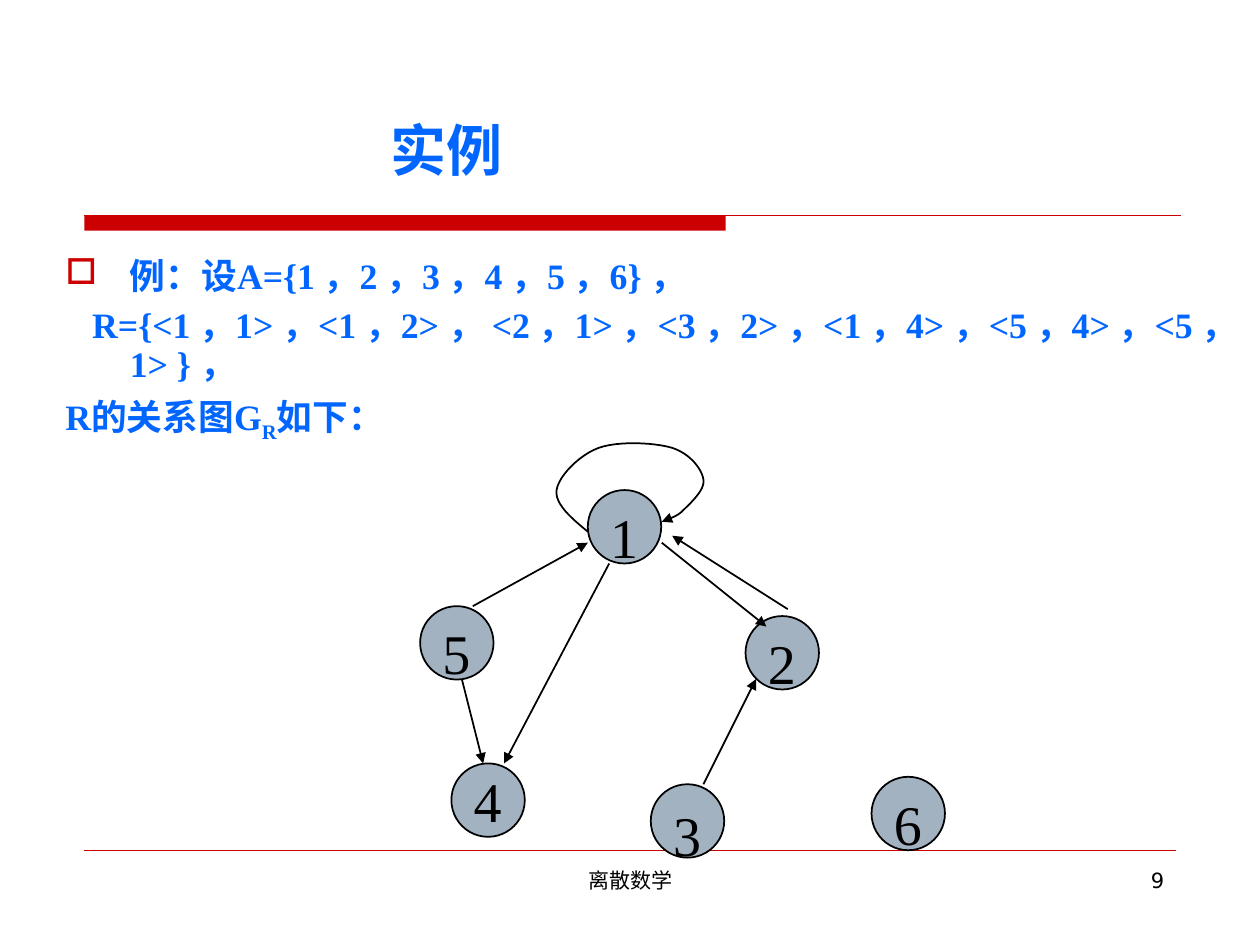
import lxml.etree
import pptx
import pptx.dml.color
import pptx.enum.shapes
import pptx.enum.text
import pptx.oxml.ns
import pptx.util

Cm, Pt = pptx.util.Cm, pptx.util.Pt
qn = pptx.oxml.ns.qn
ALIGN = pptx.enum.text.PP_ALIGN
ANCHOR = pptx.enum.text.MSO_ANCHOR
SHAPES = pptx.enum.shapes.MSO_SHAPE

RED, BLUE, GREY, BLACK = "CC0000", "0066FF", "A3B2C1", "000000"
SANS, SERIF = "DejaVu Sans", "Times New Roman"


def rgb(value):
    return pptx.dml.color.RGBColor.from_string(value)


def write(paragraph, text, font=SANS, size=12, color=BLACK, bold=False, baseline=None):
    """Append one formatted run to the paragraph."""
    run = paragraph.add_run()
    run.text = text
    run.font.name, run.font.size, run.font.bold = font, Pt(size), bold
    run.font.color.rgb = rgb(color)
    if baseline is not None:
        run.font._element.set("baseline", str(baseline * 1000))


def bezier(start, segments, steps=12):
    """Points along a chain of cubic curves; each segment is two controls and an end."""
    points = [start]
    for first, second, end in segments:
        for step in range(1, steps + 1):
            t = step / steps
            u = 1 - t
            points.append(tuple(
                u**3 * a + 3 * u * u * t * b + 3 * u * t * t * c + t**3 * d
                for a, b, c, d in zip(start, first, second, end)))
        start = end
    return points


class RelationSlide:
    edge_width = 1
    node_size = 1.48

    def __init__(self, presentation):
        self.slide = presentation.slides.add_slide(presentation.slide_layouts[6])
        self.shapes = self.slide.shapes

    def text_frame(self, left, top, width, height, anchor=ANCHOR.TOP, wrap=True, inset=0.13):
        box = self.shapes.add_textbox(Cm(left), Cm(top), Cm(width), Cm(height))
        frame = box.text_frame
        frame.word_wrap, frame.vertical_anchor = wrap, anchor
        frame.margin_top = Cm(inset)
        return frame

    def label(self, text, *place, align=ALIGN.LEFT, anchor=ANCHOR.TOP, wrap=True,
              inset=0.13, **style):
        paragraph = self.text_frame(*place, anchor, wrap, inset).paragraphs[0]
        paragraph.alignment = align
        write(paragraph, text, **style)

    def filled(self, kind, left, top, width, height, color, outline=None):
        shape = self.shapes.add_shape(kind, Cm(left), Cm(top), Cm(width), Cm(height))
        shape.shadow.inherit = False
        shape.fill.solid()
        shape.fill.fore_color.rgb = rgb(color)
        if outline:
            self.stroke(shape, outline, self.edge_width)
        else:
            shape.line.fill.background()

    def stroke(self, shape, color, width, arrow=False):
        shape.line.color.rgb = rgb(color)
        shape.line.width = Pt(width)
        if arrow:
            outline = shape._element.spPr.find(qn("a:ln"))
            lxml.etree.SubElement(outline, qn("a:tailEnd"), type="triangle")

    def line(self, start, end, color=BLACK, width=edge_width, arrow=False):
        connector = self.shapes.add_connector(
            pptx.enum.shapes.MSO_CONNECTOR.STRAIGHT, *map(Cm, start + end))
        self.stroke(connector, color, width, arrow)
        lxml.etree.SubElement(connector._element.spPr, qn("a:effectLst"))

    def curve(self, points):
        (x, y), *rest = [(Cm(x), Cm(y)) for x, y in points]
        builder = self.shapes.build_freeform(x, y)
        builder.add_line_segments(rest, close=False)
        loop = builder.convert_to_shape()
        loop.shadow.inherit = False
        loop.fill.background()
        self.stroke(loop, BLACK, self.edge_width, arrow=True)

    def node(self, left, top):
        self.filled(SHAPES.OVAL, left, top, self.node_size, self.node_size, GREY, BLACK)

    def body(self, paragraphs, *place):
        """Each paragraph is (first-line indent, bullet, [(text, baseline), ...])."""
        frame = self.text_frame(*place, inset=0.34)
        for index, (indent, bullet, runs) in enumerate(paragraphs):
            paragraph = frame.add_paragraph() if index else frame.paragraphs[0]
            properties = paragraph._p.get_or_add_pPr()
            properties.set("marL", str(Cm(1.3)))
            properties.set("indent", str(Cm(indent)))
            if bullet:
                bullet_color = lxml.etree.SubElement(properties, qn("a:buClr"))
                lxml.etree.SubElement(bullet_color, qn("a:srgbClr"), val=RED)
                lxml.etree.SubElement(properties, qn("a:buChar"), char=bullet)
            else:
                lxml.etree.SubElement(properties, qn("a:buNone"))
            paragraph.line_spacing = 0.9
            paragraph.space_before = Pt(6 if index else 0)
            for text, baseline in runs:
                write(paragraph, text, font=SERIF, size=20.4, color=BLUE, bold=True,
                      baseline=baseline)


DEFINITION = [
    (-1.3, "□", [("例：设A={1 ，2 ，3 ，4 ，5 ，6} ，", None)]),
    (-0.76, None, [("R={<1 ，1> ，<1 ，2> ， <2 ，1> ，<3 ，2> ，<1 ，4> ，"
                    "<5 ，4> ，<5 ，1> } ，", None)]),
    (-1.3, None, [("R的关系图G", None), ("R", -25), ("如下：", None)]),
]

# Element of A: left and top of its circle, vertical shift of its digit
NODES = {
    "1": (11.85, 9.88, 0),
    "2": (15.03, 12.42, 0),
    "3": (13.12, 15.81, 0.08),
    "4": (9.1, 15.39, -0.18),
    "5": (8.47, 12.22, 0),
    "6": (17.57, 15.66, 0),
}

EDGES = [
    ((9.31, 13.69), (9.74, 15.39)),    # <5, 4>
    ((9.53, 12.22), (11.85, 10.94)),   # <5, 1>
    ((13.34, 10.94), (15.45, 12.63)),  # <1, 2>
    ((14.18, 15.81), (15.24, 13.69)),  # <3, 2>
    ((12.28, 11.36), (10.16, 15.39)),  # <1, 4>
    ((15.88, 12.28), (13.55, 10.8)),   # <2, 1>
]

LOOP_START = (11.85, 10.72)  # <1, 1>
LOOP = [
    ((11.51, 10.44), (11.18, 10.16), (11.22, 9.88)),
    ((11.26, 9.6), (11.68, 9.17), (12.07, 9.03)),
    ((12.45, 8.89), (13.18, 8.92), (13.55, 9.03)),
    ((13.9, 9.14), (14.15, 9.45), (14.18, 9.67)),
    ((14.22, 9.88), (13.9, 10.16), (13.76, 10.3)),
    ((13.62, 10.44), (13.42, 10.47), (13.34, 10.52)),
]


def main():
    presentation = pptx.Presentation()
    presentation.slide_width, presentation.slide_height = Cm(25.4), Cm(19.05)
    page = RelationSlide(presentation)

    page.filled(SHAPES.RECTANGLE, 1.7, 4.34, 12.93, 0.31, RED)
    page.line((1.7, 4.34), (23.8, 4.34), RED, 0.75)
    page.line((1.7, 17.15), (23.7, 17.15), RED, 0.25)
    page.label("离散数学", 8.69, 17.35, 8.05, 1.32, align=ALIGN.CENTER)
    page.label("9", 18.21, 17.35, 5.51, 1.32, align=ALIGN.RIGHT)
    page.label("实例", -0.84, 1.7, 19.69, 2.11, align=ALIGN.CENTER,
               anchor=ANCHOR.BOTTOM, size=32, color=BLUE, bold=True)
    page.body(DEFINITION, 1.07, 4.88, 24.33, 4.45)

    for left, top, _ in NODES.values():
        page.node(left, top)
    for digit, (left, top, shift) in NODES.items():
        page.label(digit, left + 0.2, top + shift, 1.06, 1.62, wrap=False,
                   inset=0.25, font=SERIF, size=32)
    for start, end in EDGES:
        page.line(start, end, arrow=True)
    page.curve(bezier(LOOP_START, LOOP))

    presentation.save("out.pptx")


if __name__ == "__main__":
    main()
